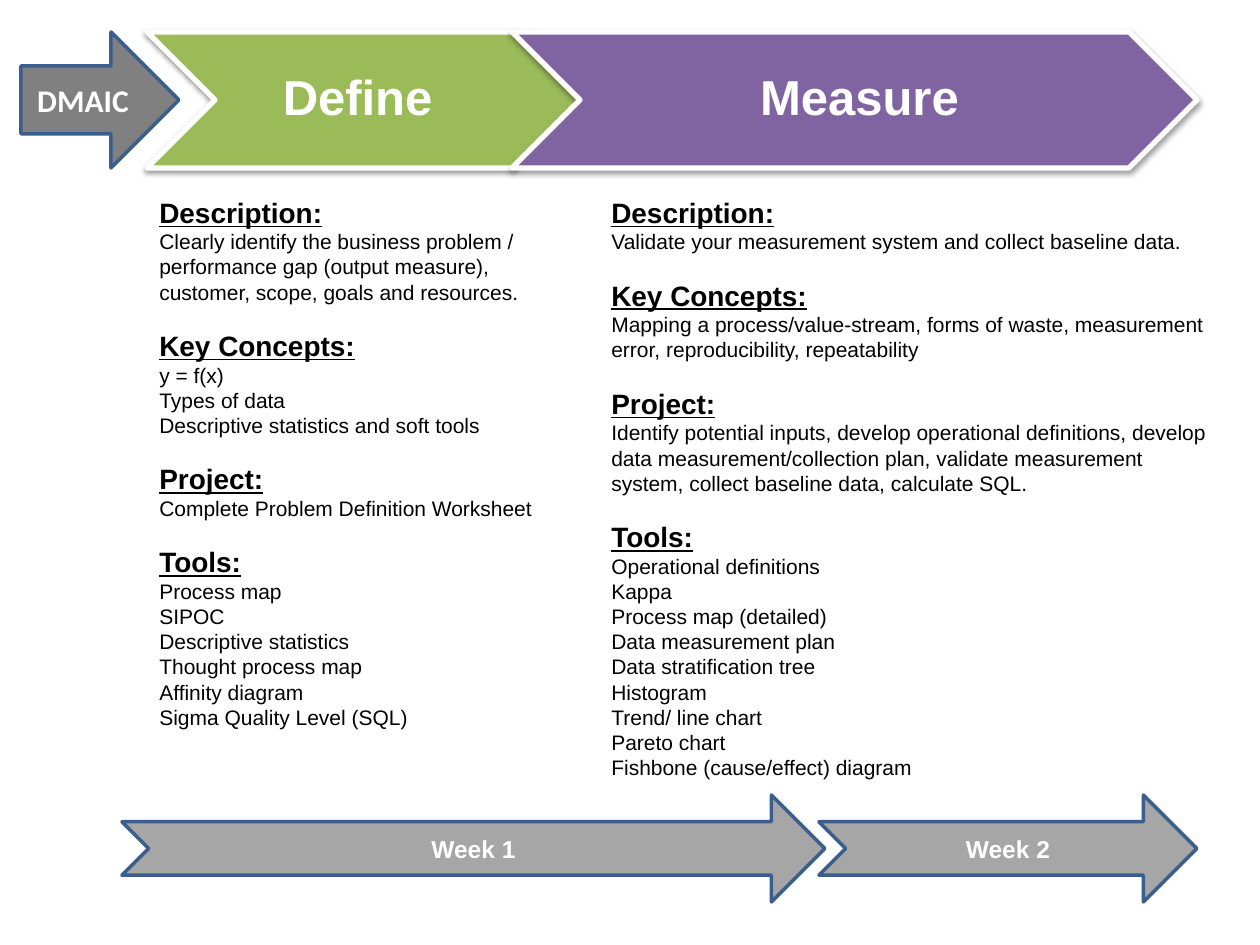
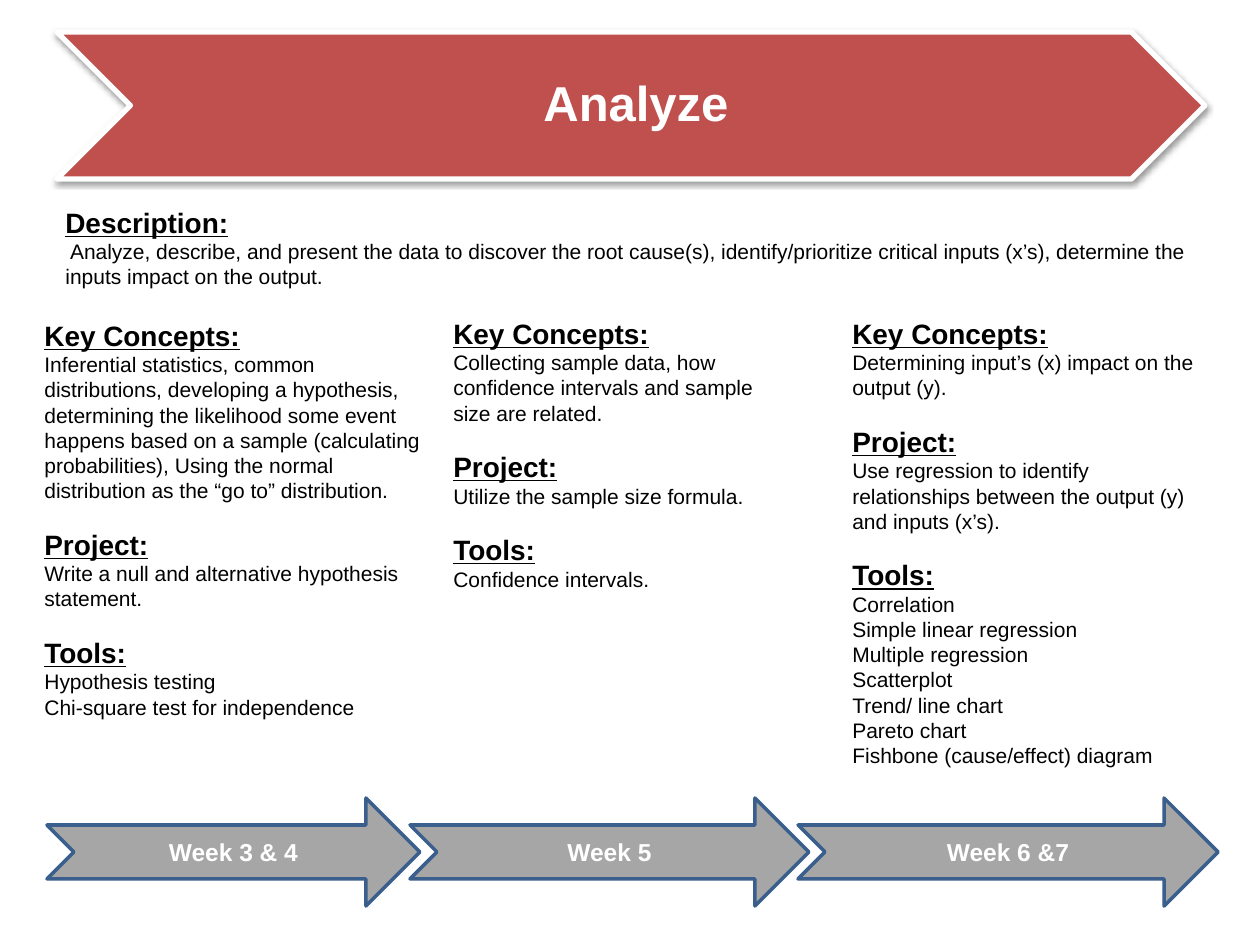
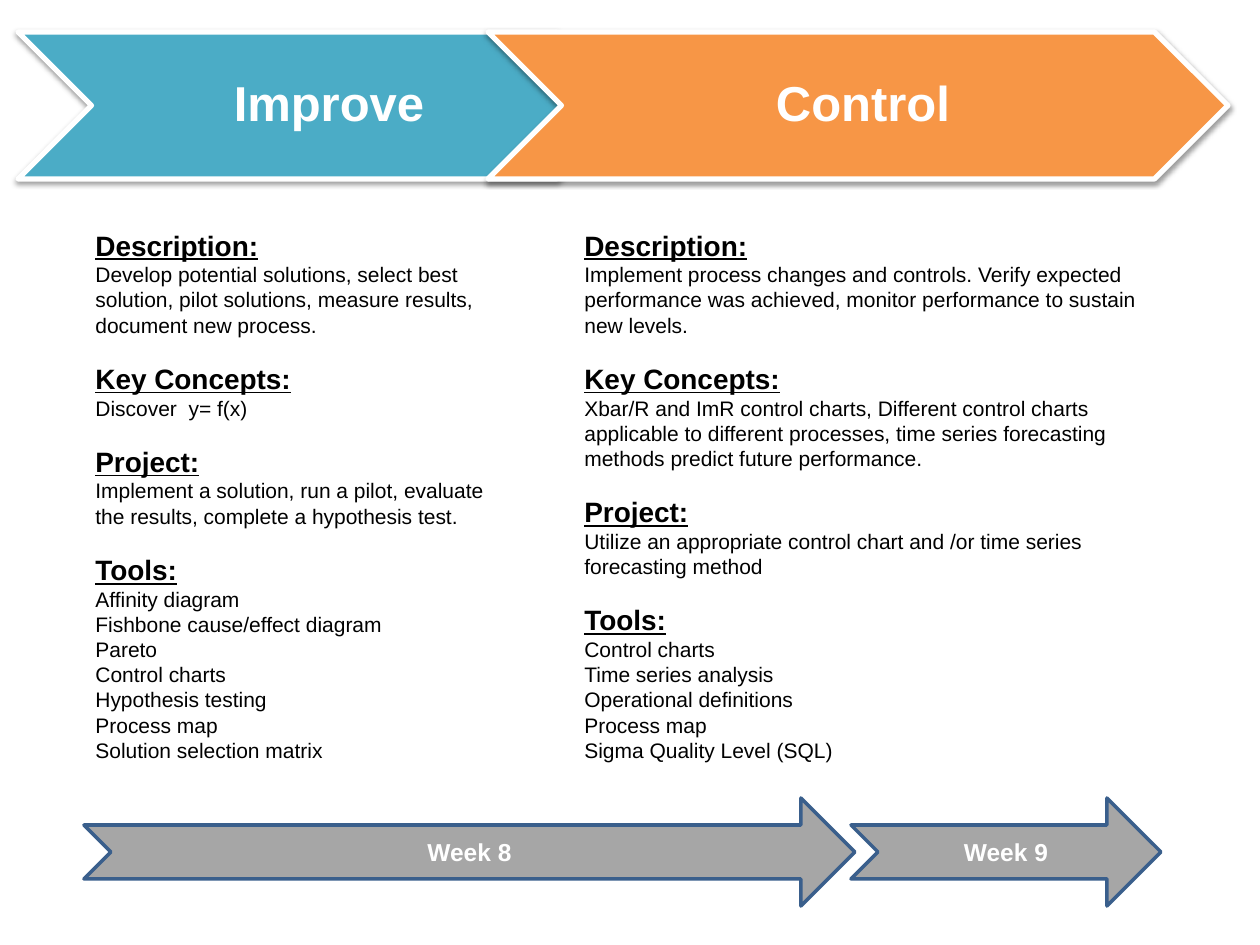
"""Build the three DMAIC roadmap slides."""
import lxml.etree
import pptx
import pptx.dml.color
import pptx.enum.shapes
import pptx.enum.text
import pptx.oxml
import pptx.oxml.ns
import pptx.util

RGB = pptx.dml.color.RGBColor
SHAPE = pptx.enum.shapes.MSO_SHAPE
Pt = pptx.util.Pt

WHITE = RGB(0xFF, 0xFF, 0xFF)
BLACK = RGB(0x00, 0x00, 0x00)
GREEN = RGB(0x9B, 0xBB, 0x59)
PURPLE = RGB(0x80, 0x64, 0xA2)
RED = RGB(0xC0, 0x50, 0x4D)
TEAL = RGB(0x4B, 0xAC, 0xC6)
ORANGE = RGB(0xF7, 0x96, 0x46)
DARK_GRAY = RGB(0x80, 0x80, 0x80)
GRAY = RGB(0xA6, 0xA6, 0xA6)
NAVY = RGB(0x3A, 0x5F, 0x8C)

PX = 914400 / 126
PHASE_FONT = {"name": "Arial", "size": Pt(28), "bold": True}
WEEK_FONT = {"name": "Arial", "size": Pt(14), "bold": True}
START_FONT = {"name": "Calibri", "size": Pt(18), "bold": True}
HEAD_FONT = {"name": "Arial", "size": Pt(16), "bold": True, "underline": True}
BODY_FONT = {"name": "Arial", "size": Pt(12), "bold": False}
SECTION_GAP = Pt(13.8)
SHADOW = (
    '<a:outerShdw xmlns:a="http://schemas.openxmlformats.org/drawingml/2006/main" '
    'blurRad="40000" dist="20000" dir="5400000" rotWithShape="0">'
    '<a:srgbClr val="000000"><a:alpha val="38000"/></a:srgbClr></a:outerShdw>'
)


def emu(*pixels):
    """Turn pixel lengths into EMU."""
    return [pptx.util.Emu(round(n * PX)) for n in pixels]


def set_all(target, values):
    """Set every attribute named in a dict of values."""
    for name, value in values.items():
        setattr(target, name, value)


def add_run(p, text, font, color):
    """Add one formatted run to a paragraph."""
    r = p.add_run()
    r.text = text
    set_all(r.font, font)
    r.font.color.rgb = color


def labelled_shape(s, kind, box, label, font, fill, line, weight):
    """Draw a filled, outlined preset shape with a centred white label."""
    sp = s.shapes.add_shape(kind, *emu(*box))
    sp.shadow.inherit = False
    sp.fill.solid()
    sp.fill.fore_color.rgb = fill
    sp.line.color.rgb = line
    sp.line.width = Pt(weight)
    sp.text_frame.word_wrap = True
    p = sp.text_frame.paragraphs[0]
    p.alignment = pptx.enum.text.PP_ALIGN.CENTER
    add_run(p, label, font, WHITE)
    return sp


def phase_band(s, box, phases):
    """Draw the phase chevrons across the top band."""
    left, top, height = box
    for label, color, offset, width, shift in phases:
        sp = labelled_shape(s, SHAPE.CHEVRON, (left + offset, top, width, height),
                            label, PHASE_FONT, color, WHITE, 3)
        effects = sp._element.spPr.find(pptx.oxml.ns.qn("a:effectLst"))
        effects.append(lxml.etree.fromstring(SHADOW))
        inset_left, inset, inset_right = emu(15, 5, 5 + 2 * shift)
        set_all(sp.text_frame, {"margin_left": inset_left, "margin_right": inset_right,
                                "margin_top": inset, "margin_bottom": inset})
        sp.text_frame.paragraphs[0].line_spacing = 0.9


def week_band(s, box, weeks):
    """Draw the week arrows along the bottom band."""
    left, top, height = box
    for label, offset, width in weeks:
        labelled_shape(s, SHAPE.NOTCHED_RIGHT_ARROW, (left + offset, top, width, height),
                       label, WEEK_FONT, GRAY, NAVY, 2)


def start_arrow(s, box):
    """Draw the arrow that names the method."""
    labelled_shape(s, SHAPE.RIGHT_ARROW, box, "DMAIC", START_FONT, DARK_GRAY, NAVY, 2)


def sections(s, box, content):
    """Write a column of underlined headings, each with its lines below."""
    tf = s.shapes.add_textbox(*emu(*box)).text_frame
    set_all(tf, {"word_wrap": True,
                 "auto_size": pptx.enum.text.MSO_AUTO_SIZE.SHAPE_TO_FIT_TEXT})
    p = tf.paragraphs[0]
    for i, (heading, lines) in enumerate(content.items()):
        if i:
            p = tf.add_paragraph()
            p.space_before = SECTION_GAP
        add_run(p, heading + ":", HEAD_FONT, BLACK)
        for line in lines:
            add_run(tf.add_paragraph(), line, BODY_FONT, BLACK)


def roadmap_slide(prs, band, phases, columns, timeline, weeks):
    """Add a slide with phases above, text columns between and weeks below."""
    s = prs.slides.add_slide(prs.slide_layouts[6])
    phase_band(s, band, phases)
    for box, content in columns:
        sections(s, box, content)
    week_band(s, timeline, weeks)
    return s


DEFINE = {
    "Description": ["Clearly identify the business problem / performance gap (output "
                    "measure), customer, scope, goals and resources."],
    "Key Concepts": ["y = f(x)", "Types of data", "Descriptive statistics and soft tools"],
    "Project": ["Complete Problem Definition Worksheet"],
    "Tools": ["Process map", "SIPOC", "Descriptive statistics", "Thought process map",
              "Affinity diagram", "Sigma Quality Level (SQL)"],
}
MEASURE = {
    "Description": ["Validate your measurement system and collect baseline data."],
    "Key Concepts": ["Mapping a process/value-stream, forms of waste, measurement error, "
                     "reproducibility, repeatability"],
    "Project": ["Identify potential inputs, develop operational definitions, develop data "
                "measurement/collection plan, validate measurement system, collect "
                "baseline data, calculate SQL."],
    "Tools": ["Operational definitions", "Kappa", "Process map (detailed)",
              "Data measurement plan", "Data stratification tree", "Histogram",
              "Trend/ line chart", "Pareto chart", "Fishbone (cause/effect) diagram"],
}
ANALYZE = {
    "Description": [" Analyze, describe, and present the data to discover the root "
                    "cause(s), identify/prioritize critical inputs (x’s), determine the "
                    "inputs impact on the output."],
}
HYPOTHESES = {
    "Key Concepts": ["Inferential statistics, common distributions, developing a "
                     "hypothesis, determining the likelihood some event happens based on "
                     "a sample (calculating probabilities), Using the normal distribution "
                     "as the “go to” distribution."],
    "Project": ["Write a null and alternative hypothesis statement."],
    "Tools": ["Hypothesis testing", "Chi-square test for independence"],
}
SAMPLING = {
    "Key Concepts": ["Collecting sample data, how confidence intervals and sample size "
                     "are related."],
    "Project": ["Utilize the sample size formula."],
    "Tools": ["Confidence intervals."],
}
REGRESSION = {
    "Key Concepts": ["Determining input’s (x) impact on the output (y)."],
    "Project": ["Use regression to identify relationships between the output (y) and "
                "inputs (x’s)."],
    "Tools": ["Correlation", "Simple linear regression", "Multiple regression",
              "Scatterplot", "Trend/ line chart", "Pareto chart",
              "Fishbone (cause/effect) diagram"],
}
IMPROVE = {
    "Description": ["Develop potential solutions, select best solution, pilot solutions, "
                    "measure results, document new process."],
    "Key Concepts": ["Discover  y= f(x)"],
    "Project": ["Implement a solution, run a pilot, evaluate the results, complete a "
                "hypothesis test."],
    "Tools": ["Affinity diagram", "Fishbone cause/effect diagram", "Pareto",
              "Control charts", "Hypothesis testing", "Process map",
              "Solution selection matrix"],
}
CONTROL = {
    "Description": ["Implement process changes and controls. Verify expected performance "
                    "was achieved, monitor performance to sustain new levels."],
    "Key Concepts": ["Xbar/R and ImR control charts, Different control charts applicable "
                     "to different processes, time series forecasting methods predict "
                     "future performance."],
    "Project": ["Utilize an appropriate control chart and /or time series forecasting "
                "method"],
    "Tools": ["Control charts", "Time series analysis", "Operational definitions",
              "Process map", "Sigma Quality Level (SQL)"],
}


def main():
    """Build and save the presentation."""
    prs = pptx.Presentation()
    prs.slide_width, prs.slide_height = emu(1260, 945)
    s = roadmap_slide(
        prs, (147, 32, 136),
        [("Define", GREEN, 0, 433, 11), ("Measure", PURPLE, 365, 685, 0)],
        [((147, 189, 451, 556), DEFINE), ((599, 189, 630, 606), MEASURE)],
        (122, 795, 107), [("Week 1", 0, 703), ("Week 2", 697, 378)])
    start_arrow(s, (21, 32, 158, 136))
    roadmap_slide(
        prs, (57, 32, 147), [("Analyze", RED, 0, 1148, 0)],
        [((53, 199, 1155, 97), ANALYZE), ((32, 312, 410, 471), HYPOTHESES),
         ((441, 310, 365, 344), SAMPLING), ((840, 310, 368, 471), REGRESSION)],
        (47, 798, 108),
        [("Week 3 & 4", 0, 373), ("Week 5", 363, 399), ("Week 6 &7", 751, 420)])
    roadmap_slide(
        prs, (18, 32, 147),
        [("Improve", TEAL, 0, 612, 0), ("Control", ORANGE, 470, 740, 0)],
        [((83, 222, 420, 581), IMPROVE), ((572, 222, 595, 556), CONTROL)],
        (84, 798, 108), [("Week 8", 0, 771), ("Week 9", 767, 310)])
    prs.save("out.pptx")


main()
